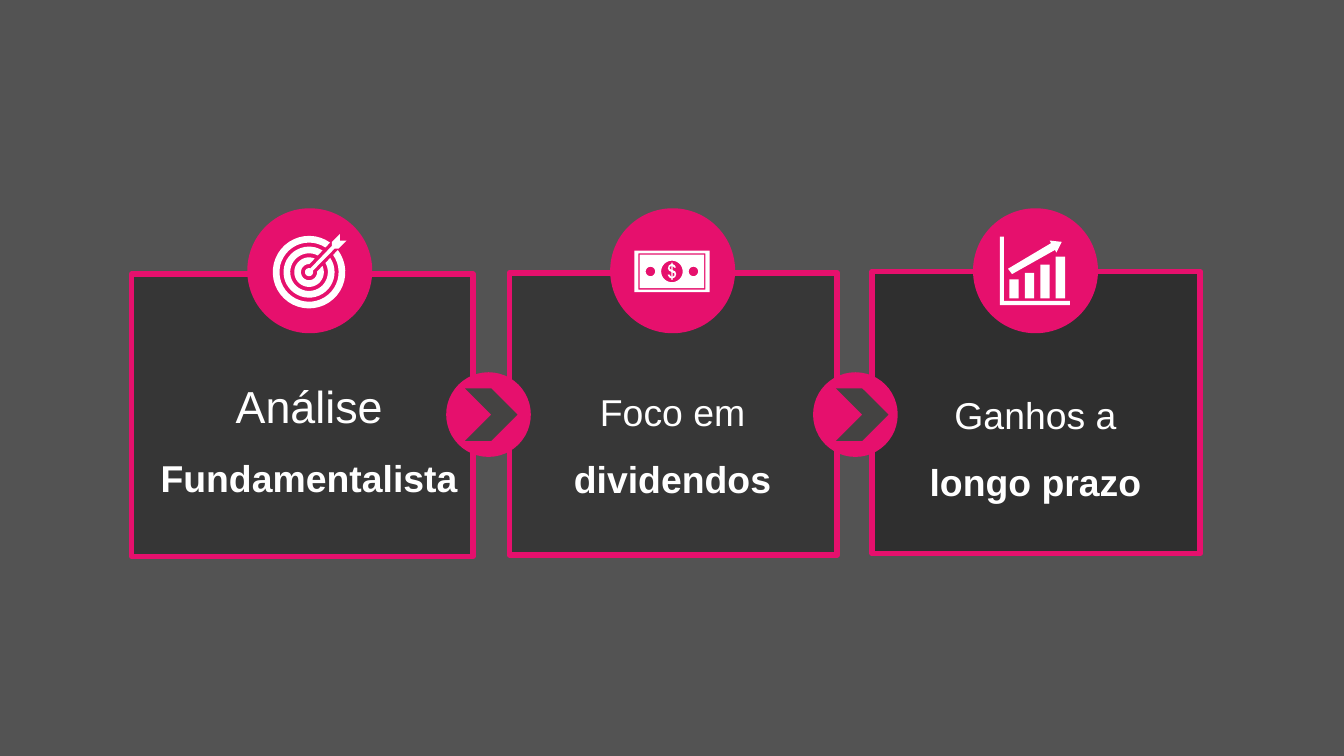
from math import asin, cos, degrees, radians, sin

from lxml.etree import SubElement
from pptx import Presentation
from pptx.dml.color import RGBColor
from pptx.enum.shapes import MSO_SHAPE
from pptx.enum.text import MSO_AUTO_SIZE, PP_ALIGN
from pptx.oxml.ns import qn
from pptx.util import Inches, Pt

WHITE = RGBColor(0xFF, 0xFF, 0xFF)
BLACK = RGBColor(0x00, 0x00, 0x00)
PINK = RGBColor(0xE6, 0x10, 0x6D)
CHARCOAL = RGBColor(0x2C, 0x2C, 0x2C)
GRAY = RGBColor(0x44, 0x43, 0x42)
FONT = "Arial"
PAGE_WIDTH = 10
PAGE_HEIGHT = PAGE_WIDTH * 9 / 16


def arc(x, y, radius, start=0, end=360, steps=40):
    """Points along an arc; angles in degrees, clockwise from the right."""
    angles = [radians(start + (end - start) * i / steps) for i in range(steps + 1)]
    return [(x + radius * cos(a), y + radius * sin(a)) for a in angles]


def rectangle(left, top, right, bottom):
    return [(left, top), (right, top), (right, bottom), (left, bottom)]


def centered_rectangle(x, y, width, height):
    return rectangle(x - width / 2, y - height / 2, x + width / 2, y + height / 2)


def notched_ring(x, y, outer, inner, notch=0.04, direction=-46):
    """Ring with a parallel-sided notch, where the arrow passes."""
    outer_gap, inner_gap = (degrees(asin(notch / r)) for r in (outer, inner))
    return (arc(x, y, outer, direction + outer_gap, direction + 360 - outer_gap)
            + arc(x, y, inner, direction + 360 - inner_gap, direction + inner_gap))


class SlideBuilder:
    def __init__(self, slide):
        self.slide = slide

    def style(self, shape, fill, opacity=100, outline=None):
        shape.shadow.inherit = False
        shape.fill.solid()
        shape.fill.fore_color.rgb = fill
        if opacity < 100:
            color = shape.fill._xPr.find(qn("a:solidFill"))[0]
            SubElement(color, qn("a:alpha")).set("val", str(opacity * 1000))
        if outline is None:
            shape.line.fill.background()
        else:
            shape.line.color.rgb = outline
            shape.line.width = Pt(3)
            SubElement(shape.line._get_or_add_ln(), qn("a:round"))

    def shape(self, kind, left, top, width, height, fill, opacity=100, outline=None):
        shape = self.slide.shapes.add_shape(
            kind, Inches(left), Inches(top), Inches(width), Inches(height))
        self.style(shape, fill, opacity, outline)

    def caption(self, left, top, width, height, lead, lead_size, strong):
        box = self.slide.shapes.add_textbox(
            Inches(left), Inches(top), Inches(width), Inches(height))
        frame = box.text_frame
        frame.word_wrap = True
        frame.auto_size = MSO_AUTO_SIZE.SHAPE_TO_FIT_TEXT
        para = frame.paragraphs[0]
        para.alignment = PP_ALIGN.CENTER
        para.line_spacing = 1.5
        for text, size, bold in ((lead + " ", lead_size, False), (strong, 20, True)):
            span = para.add_run()
            span.text = text
            span.font.name = FONT
            span.font.size = Pt(size)
            span.font.bold = bold
            span.font.color.rgb = WHITE

    def icon(self, contours):
        """One white outline; contours inside another cut holes."""
        scale = 10000
        contours = [[(round(x * scale), round(y * scale)) for x, y in contour]
                    for contour in contours]
        builder = self.slide.shapes.build_freeform(
            *contours[0][0], scale=Inches(1) / scale)
        for index, contour in enumerate(contours):
            if index:
                builder.move_to(*contour[0])
            builder.add_line_segments(contour[1:], close=True)
        self.style(builder.convert_to_shape(), WHITE)


def growth_icon():
    bars = [rectangle(7.51 + 0.115 * i, top, 7.58 + 0.115 * i, 2.22)
            for i, top in enumerate((2.08, 2.03, 1.97, 1.91))]
    arrow = [(7.81, 1.79), (7.9, 1.8), (7.86, 1.88), (7.85, 1.86),
             (7.53, 2.04), (7.5, 2), (7.82, 1.81)]
    axes = [(7.44, 1.76), (7.47, 1.76), (7.47, 2.24), (7.96, 2.24),
            (7.96, 2.27), (7.44, 2.27)]
    return bars + [arrow, axes]


def banknote_icon(x=5, y=2.02):
    frames = [centered_rectangle(x, y, width, height)
              for width, height in ((0.56, 0.31), (0.5, 0.27), (0.48, 0.25))]
    disks = [arc(x, y, 0.08), arc(x - 0.16, y, 0.035), arc(x + 0.16, y, 0.035)]
    dollar = [(4.995, 1.955), (5.005, 1.955), (5.005, 1.965), (5.02, 1.973),
              (5.03, 1.99), (5.018, 1.993), (5.005, 1.978), (5.005, 2.01),
              (5.025, 2.02), (5.032, 2.04), (5.024, 2.062), (5.005, 2.072),
              (5.005, 2.083), (4.995, 2.083), (4.995, 2.072), (4.98, 2.064),
              (4.968, 2.045), (4.98, 2.042), (4.995, 2.06), (4.995, 2.023),
              (4.978, 2.014), (4.97, 1.998), (4.977, 1.975), (4.995, 1.965)]
    holes = [[(5.005, 2.027), (5.005, 2.06), (5.018, 2.05), (5.018, 2.035)],
             [(4.995, 1.978), (4.983, 1.988), (4.984, 2), (4.995, 2.007)]]
    return frames + disks + [dollar] + holes


def target_icon(x=2.3, y=2.025):
    rings = [notched_ring(x, y, outer, outer - 0.05) for outer in (0.27, 0.19, 0.11)]
    arrow = ([(2.47, 1.83), (2.47, 1.8), (2.53, 1.74), (2.53, 1.79), (2.58, 1.79),
              (2.52, 1.85), (2.49, 1.85)] + arc(x, y, 0.03, -20, 290))
    return rings + [arrow]


def main():
    deck = Presentation()
    deck.slide_width, deck.slide_height = Inches(PAGE_WIDTH), Inches(PAGE_HEIGHT)
    page = SlideBuilder(deck.slides.add_slide(deck.slide_layouts[6]))

    # Backdrop
    page.shape(MSO_SHAPE.RECTANGLE, 0, 0, PAGE_WIDTH, PAGE_HEIGHT, CHARCOAL, 81)

    # Cards with their badges
    for left, top, width, opacity, badge_left in (
            (0.98, 2.04, 2.54, 34, 1.84),
            (3.79, 2.03, 2.44, 33, 4.54),
            (6.49, 2.02, 2.44, 43, 7.24)):
        page.shape(MSO_SHAPE.RECTANGLE, left, top, width, 2.1, BLACK, opacity, PINK)
        page.shape(MSO_SHAPE.OVAL, badge_left, 1.55, 0.93, 0.93, PINK)

    # Captions
    page.caption(1.09, 2.57, 2.42, 1.15, "Análise", 24, "Fundamentalista")
    page.caption(4.01, 2.68, 1.99, 1.05, "Foco em", 20, "dividendos")
    page.caption(6.71, 2.7, 1.99, 1.05, "Ganhos a", 20, "longo prazo")

    # Step markers between cards
    for circle_left, chevron_left in ((3.32, 3.46), (6.05, 6.22)):
        page.shape(MSO_SHAPE.OVAL, circle_left, 2.77, 0.63, 0.63, PINK)
        page.shape(MSO_SHAPE.CHEVRON, chevron_left, 2.89, 0.39, 0.39, GRAY)

    # Badge icons
    for contours in (growth_icon(), banknote_icon(), target_icon()):
        page.icon(contours)

    deck.save("out.pptx")


if __name__ == "__main__":
    main()
